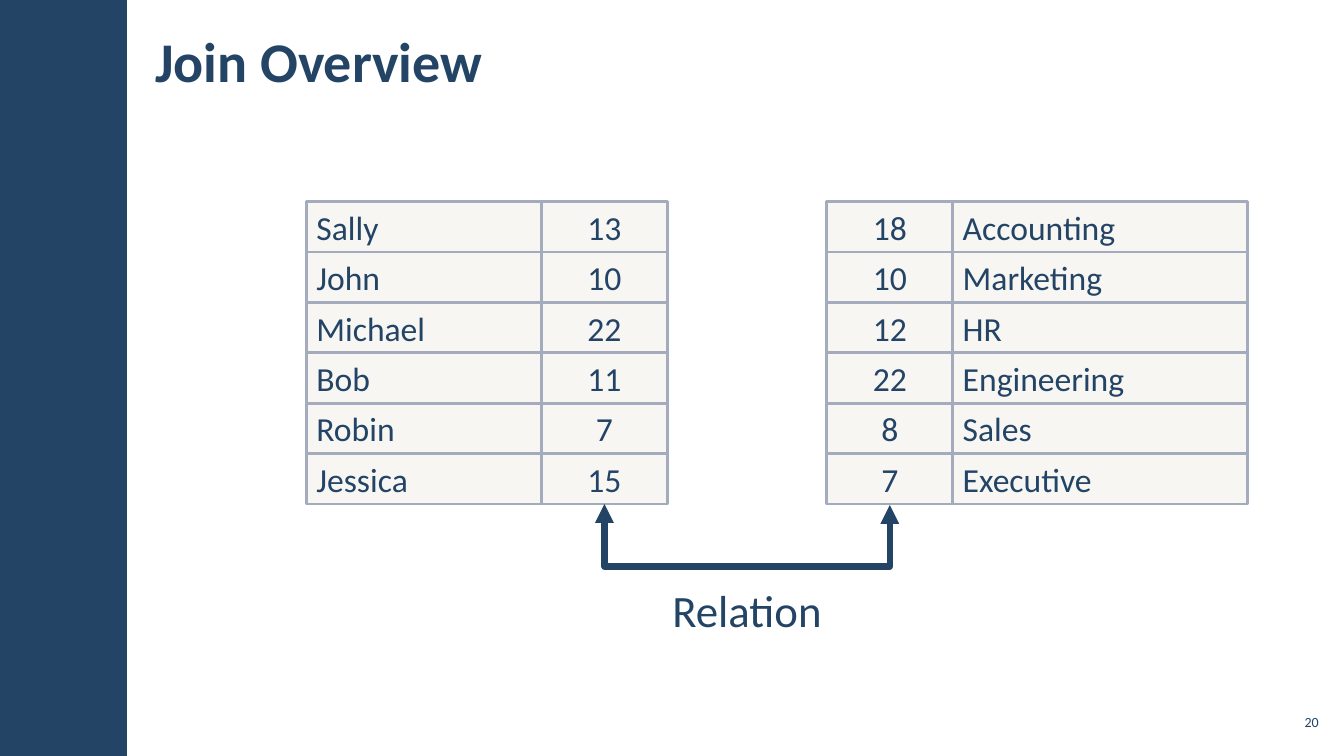
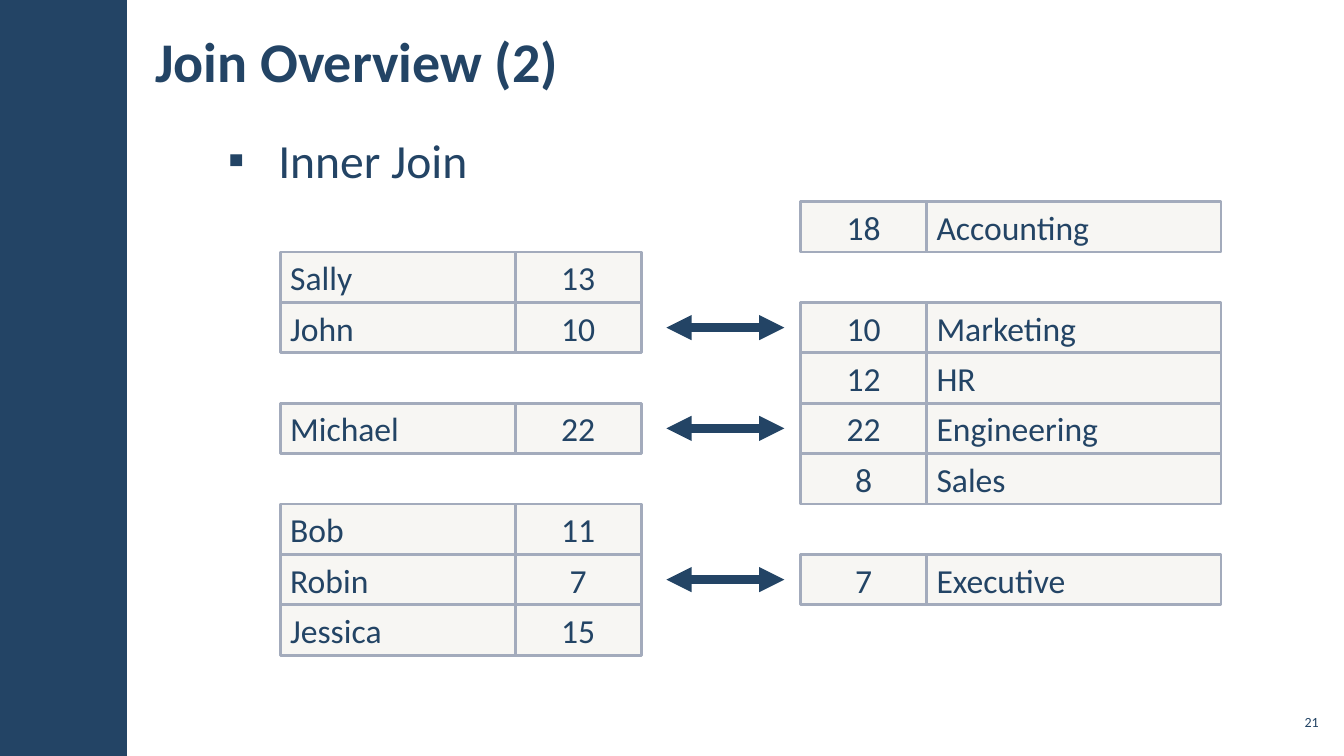
"""Build two slides that explain how rows of two tables are joined."""
from lxml.etree import SubElement
from pptx import Presentation
from pptx.dml.color import RGBColor
from pptx.enum.shapes import MSO_CONNECTOR, MSO_SHAPE
from pptx.enum.text import MSO_ANCHOR, PP_ALIGN
from pptx.oxml.ns import qn
from pptx.util import Inches, Pt

COLORS = {"navy": "234465", "cell": "D9D5C7", "border": "A3ABBC"}
FONT = "Calibri"

EMPLOYEES = [("Sally", "13"), ("John", "10"), ("Michael", "22"),
             ("Bob", "11"), ("Robin", "7"), ("Jessica", "15")]
DEPARTMENTS = [("18", "Accounting"), ("10", "Marketing"), ("12", "HR"),
               ("22", "Engineering"), ("8", "Sales"), ("7", "Executive")]
EMPLOYEE_BLOCKS = [(1, EMPLOYEES[:2]), (4, EMPLOYEES[2:3]), (6, EMPLOYEES[3:])]
DEPARTMENT_BLOCKS = [(0, DEPARTMENTS[:1]), (2, DEPARTMENTS[1:5]), (7, DEPARTMENTS[5:])]
MATCHED_ROWS = [2, 4, 7]

GRID_TOP, ROW_HEIGHT = 2, 0.5
NAME_WIDTH, KEY_WIDTH, DEPARTMENT_WIDTH = 2.33, 1.25, 2.92
EMPLOYEE_WIDTHS = (NAME_WIDTH, KEY_WIDTH)
DEPARTMENT_WIDTHS = (KEY_WIDTH, DEPARTMENT_WIDTH)
DEPARTMENT_OFFSET = 5.16


def color(name):
    return RGBColor.from_string(COLORS[name])


def write(text_frame, text, size, align=PP_ALIGN.LEFT, bold=False):
    text_frame.text = text
    paragraph = text_frame.paragraphs[0]
    paragraph.alignment = align
    font = paragraph.runs[0].font
    font.name, font.size, font.bold = FONT, Pt(size), bold
    font.color.rgb = color("navy")
    return paragraph


def set_margins(text_frame, horizontal, vertical):
    text_frame.margin_left = text_frame.margin_right = Inches(horizontal)
    text_frame.margin_top = text_frame.margin_bottom = Inches(vertical)


def add_text(slide, box, text, size, align=PP_ALIGN.LEFT, margins=(0.1, 0.05)):
    text_frame = slide.shapes.add_textbox(*map(Inches, box)).text_frame
    text_frame.word_wrap = True
    set_margins(text_frame, *margins)
    return write(text_frame, text, size, align)


def add_rectangle(slide, box, fill):
    rectangle = slide.shapes.add_shape(MSO_SHAPE.RECTANGLE, *map(Inches, box))
    rectangle.shadow.inherit = False
    rectangle.fill.solid()
    rectangle.fill.fore_color.rgb = color(fill)
    return rectangle


def add_band(slide, layout):
    band = add_rectangle(slide, (0, 0, 1.26, 7.5), "navy")
    band.line.fill.background()
    layout.shapes.element.insert(2, band.element)


def start_slide(presentation, layout, title, number):
    slide = presentation.slides.add_slide(layout)
    shape = slide.shapes.title
    shape.left, shape.top, shape.width, shape.height = map(Inches, (1.42, 0.11, 9.19, 0.97))
    shape.text_frame.vertical_anchor = MSO_ANCHOR.MIDDLE
    set_margins(shape.text_frame, 0.12, 0.04)
    write(shape.text_frame, title, 40, bold=True)
    add_text(slide, (12.65, 7, 0.47, 0.34), number, 10, PP_ALIGN.RIGHT, (0.04, 0.08))
    return slide


def add_cell(slide, box, value):
    cell = add_rectangle(slide, box, "cell")
    fill_color = cell.element.spPr.find(qn("a:solidFill")).find(qn("a:srgbClr"))
    SubElement(fill_color, qn("a:alpha"), val="20000")
    cell.line.color.rgb = color("border")
    cell.line.width = Pt(2)
    cell.text_frame.vertical_anchor = MSO_ANCHOR.MIDDLE
    align = PP_ALIGN.CENTER if value.isdigit() else PP_ALIGN.LEFT
    write(cell.text_frame, value, 24, align)


def add_block(slide, left, first_row, rows, widths):
    for index, values in enumerate(rows, first_row):
        top = GRID_TOP + index * ROW_HEIGHT
        for column, value in enumerate(values):
            cell_left = left + sum(widths[:column])
            add_cell(slide, (cell_left, top, widths[column], ROW_HEIGHT), value)


def add_arrow(slide, kind, ends, width):
    arrow = slide.shapes.add_connector(kind, *map(Inches, ends))
    arrow.line.color.rgb = color("navy")
    arrow.line.width = Pt(width)
    line = arrow.line._get_or_add_ln()
    for end in ("a:headEnd", "a:tailEnd"):
        SubElement(line, qn(end), type="triangle")
    SubElement(arrow.element.spPr, qn("a:effectLst"))
    return arrow


def add_relation(slide, start, end, top, depth):
    step = 0.01
    center, middle, half = (start + end) / 2, top + step / 2, (end - start) / 2
    ends = (center + step / 2, middle - half, center - step / 2, middle + half)
    arrow = add_arrow(slide, MSO_CONNECTOR.ELBOW, ends, 4.5)
    properties = arrow.element.spPr
    properties.find(qn("a:xfrm")).set("rot", str(270 * 60000))
    adjustments = properties.find(qn("a:prstGeom")).get_or_add_avLst()
    SubElement(adjustments, qn("a:gd"), name="adj1",
               fmla=f"val {round(depth / step * 100000)}")


def add_overview(slide):
    left = 3.04
    right = left + DEPARTMENT_OFFSET
    add_block(slide, left, 0, EMPLOYEES, EMPLOYEE_WIDTHS)
    add_block(slide, right, 0, DEPARTMENTS, DEPARTMENT_WIDTHS)
    bottom = GRID_TOP + len(EMPLOYEES) * ROW_HEIGHT
    add_relation(slide, left + NAME_WIDTH + KEY_WIDTH / 2, right + KEY_WIDTH / 2, bottom, 0.63)
    add_text(slide, (6.56, 5.73, 1.7, 0.64), "Relation", 32, PP_ALIGN.CENTER)


def add_inner_join(slide):
    paragraph = add_text(slide, (2.14, 1.23, 10.98, 5.77), "Inner Join", 34, margins=(0.12, 0.04))
    paragraph.line_spacing = 1.05
    paragraph.space_before = paragraph.space_after = Pt(6)
    properties = paragraph._p.get_or_add_pPr()
    properties.set("marL", str(Inches(0.5)))
    properties.set("indent", str(Inches(-0.5)))
    SubElement(properties, qn("a:buFont"), typeface="Arial")
    SubElement(properties, qn("a:buChar"), char="▪")

    left = 2.78
    for first_row, rows in EMPLOYEE_BLOCKS:
        add_block(slide, left, first_row, rows, EMPLOYEE_WIDTHS)
    for first_row, rows in DEPARTMENT_BLOCKS:
        add_block(slide, left + DEPARTMENT_OFFSET, first_row, rows, DEPARTMENT_WIDTHS)
    for row in MATCHED_ROWS:
        middle = GRID_TOP + (row + 0.5) * ROW_HEIGHT
        add_arrow(slide, MSO_CONNECTOR.STRAIGHT, (6.61, middle, 7.78, middle), 6)


def main():
    presentation = Presentation()
    presentation.slide_width, presentation.slide_height = Inches(13.33), Inches(7.5)
    layout = presentation.slide_layouts[5]
    overview = start_slide(presentation, layout, "Join Overview", "20")
    add_band(overview, layout)
    add_overview(overview)
    add_inner_join(start_slide(presentation, layout, "Join Overview (2)", "21"))
    presentation.save("out.pptx")


if __name__ == "__main__":
    main()
